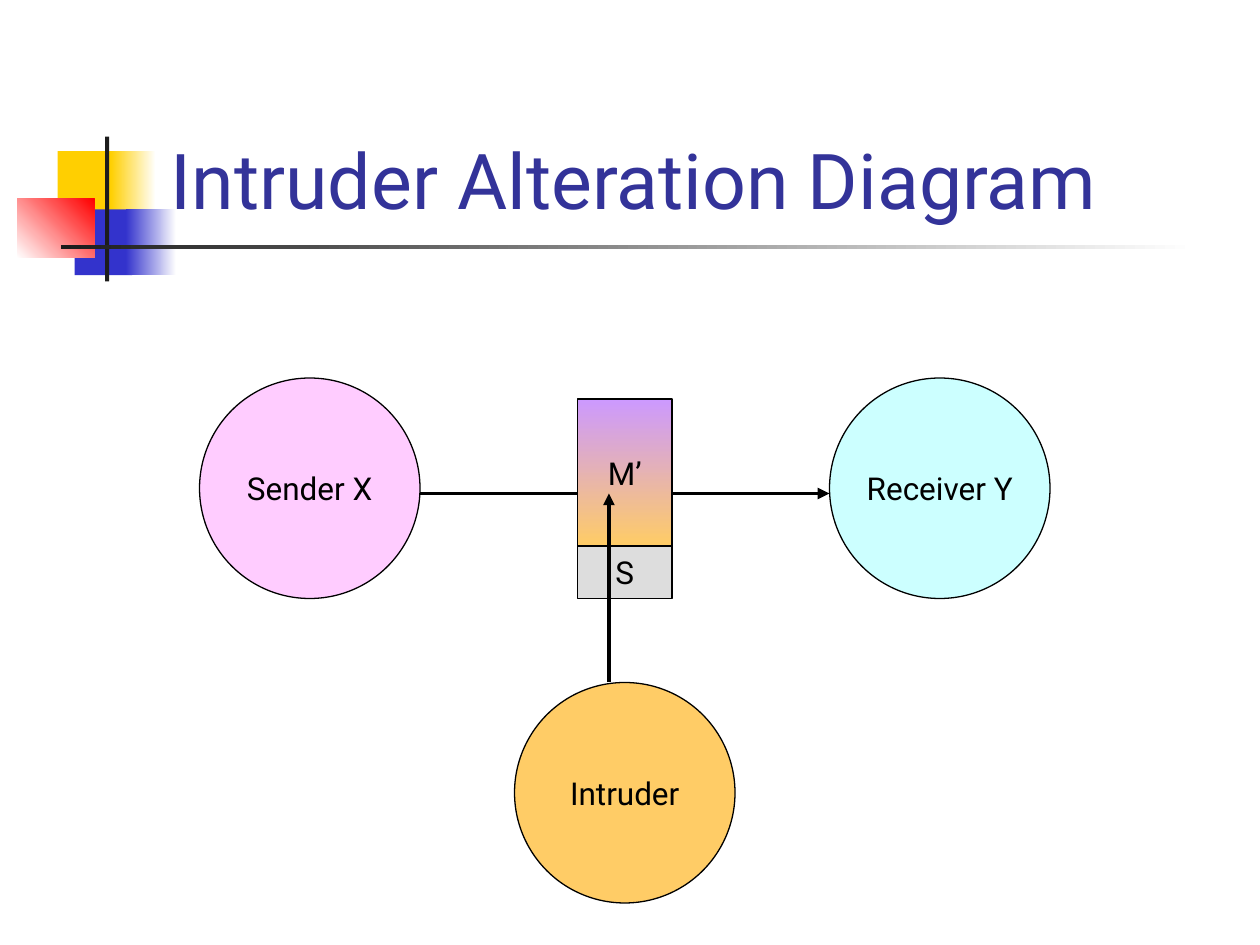
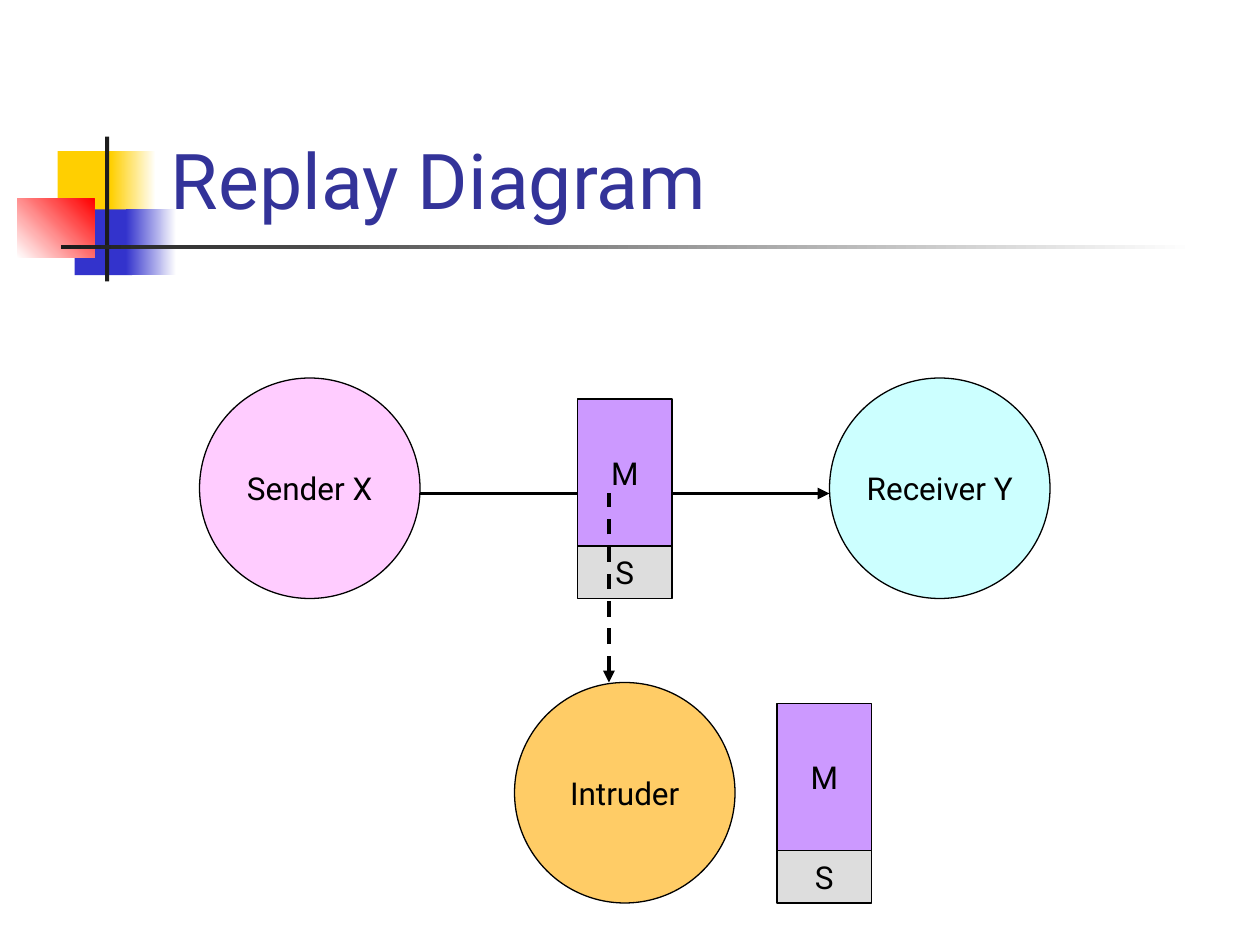
from lxml.etree import SubElement
from pptx import Presentation
from pptx.dml.color import RGBColor
from pptx.enum.dml import MSO_LINE
from pptx.enum.shapes import MSO_CONNECTOR, MSO_SHAPE
from pptx.enum.text import MSO_ANCHOR, PP_ALIGN
from pptx.oxml.ns import qn
from pptx.util import Inches, Pt


class Theme:
    font = "Roboto"
    head, label = Pt(44), Pt(18)
    thin, thick = Pt(0.75), Pt(2.25)
    title, ink, dark, white = "333399", "000000", "1C1C1C", "FFFFFF"
    gold, blue, red = "FFCF01", "3333CC", "FF0000"
    pink, aqua, sand = "FFCCFF", "CCFFFF", "FFCC66"
    mauve, gray = "CC99FF", "DDDDDD"


deck = Presentation()
deck.slide_width, deck.slide_height = Inches(10), Inches(7.5)
COLS, ROWS = 120, 90
col, row = deck.slide_width / COLS, deck.slide_height / ROWS


def add_block(slide, kind, cell, fill, turn=0, text=""):
    x, y, w, h = cell
    shape = slide.shapes.add_shape(kind, int(x * col), int(y * row), int(w * col), int(h * row))
    shape.shadow.inherit = False
    if isinstance(fill, tuple):
        shape.fill.gradient()
        shape.fill.gradient_angle = turn
        for stop, tone in zip(shape.fill.gradient_stops, fill):
            stop.color.rgb = RGBColor.from_string(tone)
    else:
        shape.fill.solid()
        shape.fill.fore_color.rgb = RGBColor.from_string(fill)
    if not text:
        shape.line.fill.background()
        return
    shape.line.color.rgb = RGBColor.from_string(Theme.ink)
    shape.line.width = Theme.thin
    frame = shape.text_frame
    frame.word_wrap = False
    frame.vertical_anchor = MSO_ANCHOR.MIDDLE
    frame.text = text
    frame.paragraphs[0].alignment = PP_ALIGN.CENTER
    font = frame.paragraphs[0].runs[0].font
    font.name, font.size = Theme.font, Theme.label
    font.color.rgb = RGBColor.from_string(Theme.ink)


def add_link(slide, start, stop, tip, dash=None):
    (x1, y1), (x2, y2) = start, stop
    link = slide.shapes.add_connector(
        MSO_CONNECTOR.STRAIGHT, int(x1 * col), int(y1 * row), int(x2 * col), int(y2 * row))
    link.line.color.rgb = RGBColor.from_string(Theme.ink)
    link.line.width = Theme.thick
    if dash:
        link.line.dash_style = dash
    SubElement(link.line._get_or_add_ln(), qn(tip), type="triangle")
    SubElement(link._element.spPr, qn("a:effectLst"))


decor = [
    ((5.5, 14.4, 5.75, 6.25), Theme.gold, 0),
    ((10.55, 14.4, 4.3, 6.25), (Theme.gold, Theme.white), 0),
    ((7.1, 19.95, 5.5, 6.25), Theme.blue, 0),
    ((12, 19.95, 4.8, 6.25), (Theme.blue, Theme.white), 0),
    ((1.65, 18.95, 7.35, 5.6), (Theme.white, Theme.red), 45),
    ((10, 13, 0.4, 13.8), Theme.dark, 0),
    ((5.8, 23.35, 108, 0.4), (Theme.dark, Theme.white), 0),
]

SIZE, WIDE, TALL, LOW = 21, 9, 14, 5
LEFT, RIGHT, TOP, BASE = 19, 79, 36, 65
MID = (LEFT + RIGHT) / 2
LINE, TAP = 47, 58
parties = [
    (LEFT, TOP, Theme.pink, "Sender X"),
    (RIGHT, TOP, Theme.aqua, "Receiver Y"),
    (MID, BASE, Theme.sand, "Intruder"),
]
sent, kept = (55, 38), (74, 67)

scenes = [
    ("Intruder Alteration Diagram", "M’", (Theme.mauve, Theme.sand),
     [sent], "a:tailEnd", None),
    ("Replay Diagram", "M", Theme.mauve,
     [sent, kept], "a:headEnd", MSO_LINE.DASH),
]

for title, note, fill, spots, tip, dash in scenes:
    slide = deck.slides.add_slide(deck.slide_layouts[6])
    for cell, tone, turn in decor:
        add_block(slide, MSO_SHAPE.RECTANGLE, cell, tone, turn)

    box = slide.shapes.add_textbox(
        int(15.1 * col), int(2.8 * row), int(102.2 * col), int(19.2 * row))
    frame = box.text_frame
    frame.word_wrap = True
    frame.vertical_anchor = MSO_ANCHOR.BOTTOM
    frame.text = title
    font = frame.paragraphs[0].runs[0].font
    font.name, font.size = Theme.font, Theme.head
    font.color.rgb = RGBColor.from_string(Theme.title)

    add_link(slide, (LEFT + SIZE, LINE), (RIGHT, LINE), "a:tailEnd")
    for x, y, tone, name in parties:
        add_block(slide, MSO_SHAPE.OVAL, (x, y, SIZE, SIZE), tone, text=name)
    for x, y in spots:
        add_block(slide, MSO_SHAPE.RECTANGLE, (x, y, WIDE, TALL), fill, 270, note)
        add_block(slide, MSO_SHAPE.RECTANGLE, (x, y + TALL, WIDE, LOW), Theme.gray, text="S")
    add_link(slide, (TAP, BASE), (TAP, LINE), tip, dash)

deck.save("out.pptx")
